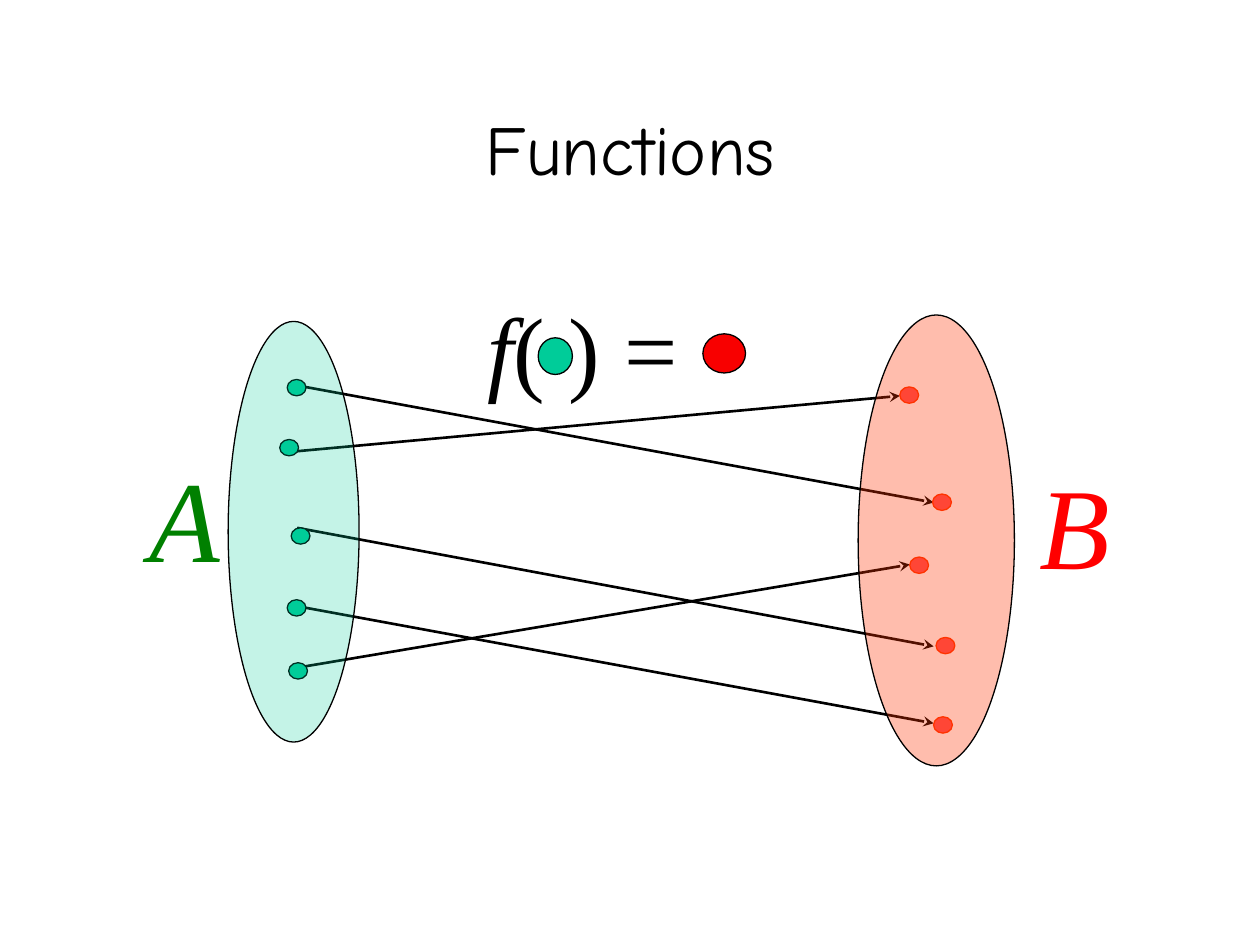
"""Build a slide showing a function as arrows from set A to set B."""
import pptx
import pptx.util
import pptx.dml.color
import pptx.enum.shapes
import pptx.enum.text
import pptx.oxml.ns
from lxml import etree

Cm = pptx.util.Cm
Pt = pptx.util.Pt
RGBColor = pptx.dml.color.RGBColor
qn = pptx.oxml.ns.qn

BLACK = RGBColor(0x00, 0x00, 0x00)
TEAL = RGBColor(0x00, 0xCC, 0x99)
GREEN = RGBColor(0x00, 0x80, 0x00)
CORAL = RGBColor(0xFF, 0x50, 0x50)
ORANGE = RGBColor(0xFF, 0x33, 0x00)
RED = RGBColor(0xFF, 0x00, 0x00)
DEEP_RED = RGBColor(0xF8, 0x00, 0x00)

DOT_SIZE = (0.38, 0.33)
ARROWS = [
    (5.99, 7.77, 18.82, 10.13),
    (5.74, 9.12, 18.14, 7.98),
    (5.99, 10.64, 18.82, 13.03),
    (5.99, 12.22, 18.82, 14.58),
    (5.99, 13.46, 18.34, 11.38),
]
A_ELEMENTS = [(5.79, 7.65), (5.64, 8.86), (5.87, 10.64), (5.79, 12.09), (5.82, 13.36)]
B_ELEMENTS = [(18.14, 7.8), (18.34, 11.23), (18.8, 9.96), (18.87, 12.85), (18.82, 14.45)]


class Diagram:
    """Hold the style and the current slide, and draw each kind of element."""

    title_font = "Comic Neue"
    math_font = "Times New Roman"

    def __init__(self, slide):
        """Keep the slide to draw on."""
        self.slide = slide

    def styled_run(self, paragraph, wording, font, size, color, italic=False):
        """Add one formatted run."""
        run = paragraph.add_run()
        run.text = wording
        run.font.name = font
        run.font.size = Pt(size)
        run.font.italic = italic
        run.font.color.rgb = color

    def title(self, wording, left, top, width, height):
        """Place and format the title placeholder."""
        heading = self.slide.shapes.title
        heading.left, heading.top = Cm(left), Cm(top)
        heading.width, heading.height = Cm(width), Cm(height)
        heading.text_frame.vertical_anchor = pptx.enum.text.MSO_ANCHOR.MIDDLE
        paragraph = heading.text_frame.paragraphs[0]
        paragraph.alignment = pptx.enum.text.PP_ALIGN.CENTER
        self.styled_run(paragraph, wording, self.title_font, 40, BLACK)

    def formula(self, runs, left, top, width, height, size, color, wrap=False):
        """Add mathematical text from (wording, italic) pairs."""
        frame = self.slide.shapes.add_textbox(
            Cm(left), Cm(top), Cm(width), Cm(height)).text_frame
        frame.word_wrap = wrap
        frame.auto_size = pptx.enum.text.MSO_AUTO_SIZE.SHAPE_TO_FIT_TEXT
        for wording, italic in runs:
            self.styled_run(frame.paragraphs[0], wording, self.math_font, size, color, italic)

    def ellipse(self, left, top, width, height, fill, outline=BLACK, opacity=None):
        """Add an ellipse, translucent when an opacity in percent is given."""
        oval = self.slide.shapes.add_shape(
            pptx.enum.shapes.MSO_SHAPE.OVAL, Cm(left), Cm(top), Cm(width), Cm(height))
        oval.shadow.inherit = False
        oval.fill.solid()
        oval.fill.fore_color.rgb = fill
        oval.line.color.rgb = outline
        oval.line.width = Pt(0.75)
        if opacity is not None:
            tint = oval._element.spPr.find(qn("a:solidFill"))[0]
            etree.SubElement(tint, qn("a:alpha"), val=str(opacity * 1000))

    def arrow(self, *ends):
        """Add a straight arrow between two points."""
        mapping = self.slide.shapes.add_connector(
            pptx.enum.shapes.MSO_CONNECTOR.STRAIGHT, *map(Cm, ends))
        mapping.line.color.rgb = BLACK
        mapping.line.width = Pt(1.5)
        properties = mapping._element.spPr
        etree.SubElement(properties.find(qn("a:ln")), qn("a:tailEnd"), type="stealth")
        etree.SubElement(properties, qn("a:effectLst"))


def main():
    """Compose the slide and save it."""
    deck = pptx.Presentation()
    deck.slide_width, deck.slide_height = Cm(25.4), Cm(19.05)
    diagram = Diagram(deck.slides.add_slide(deck.slide_layouts[5]))

    diagram.title("Functions", 4.45, 1.7, 16.51, 2.54)
    for ends in ARROWS:
        diagram.arrow(*ends)
    for place in A_ELEMENTS:
        diagram.ellipse(*place, *DOT_SIZE, TEAL)
    diagram.ellipse(4.6, 6.48, 2.64, 8.48, TEAL, opacity=23)
    for place in B_ELEMENTS:
        diagram.ellipse(*place, *DOT_SIZE, CORAL, ORANGE)
    diagram.ellipse(17.3, 6.35, 3.15, 9.09, ORANGE, opacity=32)

    diagram.formula([("A", True)], 2.77, 8.89, 1.93, 3.05, 66, GREEN)
    diagram.formula([("B", True)], 20.7, 9.02, 1.93, 3.05, 66, RED)
    diagram.formula([("f", True), ("( ) =", False)], 9.58, 5.72, 6.25, 2.54, 54, BLACK, wrap=True)
    diagram.ellipse(10.85, 6.81, 0.69, 0.74, TEAL)
    diagram.ellipse(14.17, 6.73, 0.86, 0.79, DEEP_RED)

    deck.save("out.pptx")


if __name__ == "__main__":
    main()
